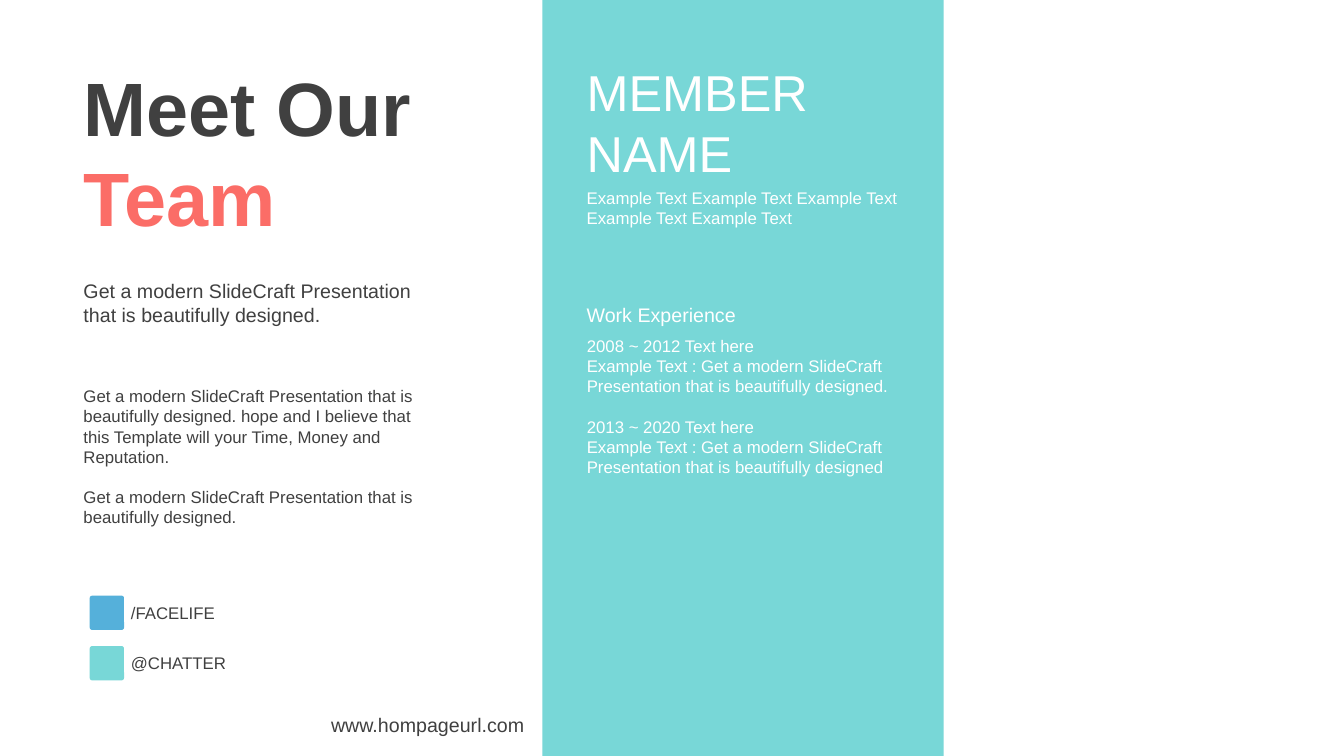
from dataclasses import dataclass

from pptx import Presentation
from pptx.dml.color import RGBColor
from pptx.enum.shapes import MSO_SHAPE as Shape
from pptx.enum.text import MSO_ANCHOR as Anchor, MSO_AUTO_SIZE as AutoSize, PP_ALIGN as Align
from pptx.oxml import parse_xml
from pptx.oxml.ns import nsdecls
from pptx.util import Inches, Pt


@dataclass(frozen=True)
class Theme:
    font: str = "Arial"
    dark: str = "404040"
    white: str = "FFFFFF"
    teal: str = "78D7D7"
    coral: str = "FB6D67"
    blue: str = "55B0DA"
    title: int = 54
    name: int = 36
    lead: int = 14
    body: int = 12
    gap: float = 14.4


THEME = Theme()
PITCH = "Get a modern SlideCraft Presentation that is beautifully designed"


def write(holder, box, lines, size, color, align=Align.LEFT, anchor=Anchor.TOP,
          bold=False, gaps=()):
    """Place holder at box and fill it; gaps holds indexes of lines that open a new block."""
    holder.left, holder.top, holder.width, holder.height = map(Inches, box)
    frame = holder.text_frame
    frame.text = "\n".join(lines)
    frame.word_wrap = True
    frame.auto_size = AutoSize.NONE
    frame.vertical_anchor = anchor
    for index, paragraph in enumerate(frame.paragraphs):
        paragraph.alignment = align
        paragraph.space_before = Pt(THEME.gap if index in gaps else 0)
        for run in paragraph.runs:
            run.font.name = THEME.font
            run.font.size = Pt(size)
            run.font.bold = bold
            run.font.color.rgb = RGBColor.from_string(color)
    return frame


def add_text(slide, box, lines, size, color, **options):
    return write(slide.shapes.add_textbox(0, 0, 0, 0), box, lines, size, color, **options)


def add_block(slide, kind, box, color):
    block = slide.shapes.add_shape(kind, *map(Inches, box))
    block.shadow.inherit = False
    block.fill.solid()
    block.fill.fore_color.rgb = RGBColor.from_string(color)
    block.line.fill.background()
    return block


def remove_bullets(frame):
    for paragraph in frame.paragraphs:
        properties = paragraph._p.get_or_add_pPr()
        properties.set("marL", "0")
        properties.set("indent", "0")
        properties.append(parse_xml(f"<a:buNone {nsdecls('a')}/>"))


def add_contact(slide, left, top, handle, color):
    icon = add_block(slide, Shape.ROUNDED_RECTANGLE, (left, top, 0.34, 0.34), color)
    icon.adjustments[0] = 0.07
    add_text(slide, (left + 0.31, top + 0.02, 1.34, 0.3), [handle],
             THEME.body, THEME.dark, anchor=Anchor.MIDDLE)


def add_introduction(slide, left, top, width):
    heading = write(slide.shapes.title, (left, top, 4.12, 1.92), ["Meet Our "],
                    THEME.title, THEME.dark, bold=True)
    team = heading.paragraphs[0].add_run()
    team.text = "Team"
    team.font.name = THEME.font
    team.font.size = Pt(THEME.title)
    team.font.bold = True
    team.font.color.rgb = RGBColor.from_string(THEME.coral)

    add_text(slide, (left, top + 2.17, width, 0.57), [f"{PITCH}."], THEME.lead, THEME.dark)
    story = (f"{PITCH}. hope and I believe that this Template will your Time, "
             "Money and Reputation.")
    add_text(slide, (left, top + 3.23, width, 1.51), [story, f"{PITCH}."],
             THEME.body, THEME.dark, gaps=(1,))

    contacts = (("/FACELIFE", THEME.blue), ("@CHATTER", THEME.teal))
    for row, (handle, color) in enumerate(contacts):
        add_contact(slide, left + 0.16, top + 5.36 + row * 0.5, handle, color)
    add_text(slide, (left + 2.24, top + 6.47, 2.33, 0.34), ["www.hompageurl.com"],
             THEME.lead, THEME.dark, align=Align.RIGHT, anchor=Anchor.MIDDLE)


def add_member_panel(slide, left, top, width, height):
    add_block(slide, Shape.RECTANGLE, (left, top, width, height), THEME.teal)
    text_left, text_width = left + 0.34, 3.33
    add_text(slide, (text_left, top + 0.56, text_width, 1.31), ["MEMBER", "NAME"],
             THEME.name, THEME.white)
    add_text(slide, (text_left, top + 1.81, text_width, 0.5),
             [" ".join(["Example Text"] * 5)], THEME.body, THEME.white, anchor=Anchor.MIDDLE)
    add_text(slide, (text_left, top + 2.96, text_width, 0.34), ["Work Experience"],
             THEME.lead, THEME.white)

    jobs = ["2008 ~ 2012 Text here", f"Example Text : {PITCH}.",
            "2013 ~ 2020 Text here", f"Example Text : {PITCH}"]
    experience = slide.placeholders[1]
    frame = write(experience, (text_left, top + 3.28, text_width, 1.51), jobs,
                  THEME.body, THEME.white, gaps=(2,))
    remove_bullets(frame)
    # Bring the placeholder in front of the panel
    slide.shapes._spTree.append(experience._element)


def main():
    deck = Presentation()
    deck.slide_width, deck.slide_height = Inches(13.33), Inches(7.5)
    slide = deck.slides.add_slide(deck.slide_layouts[1])
    add_member_panel(slide, 5.38, 0, 3.98, 7.5)
    add_introduction(slide, 0.73, 0.55, 3.73)
    deck.save("out.pptx")


if __name__ == "__main__":
    main()
